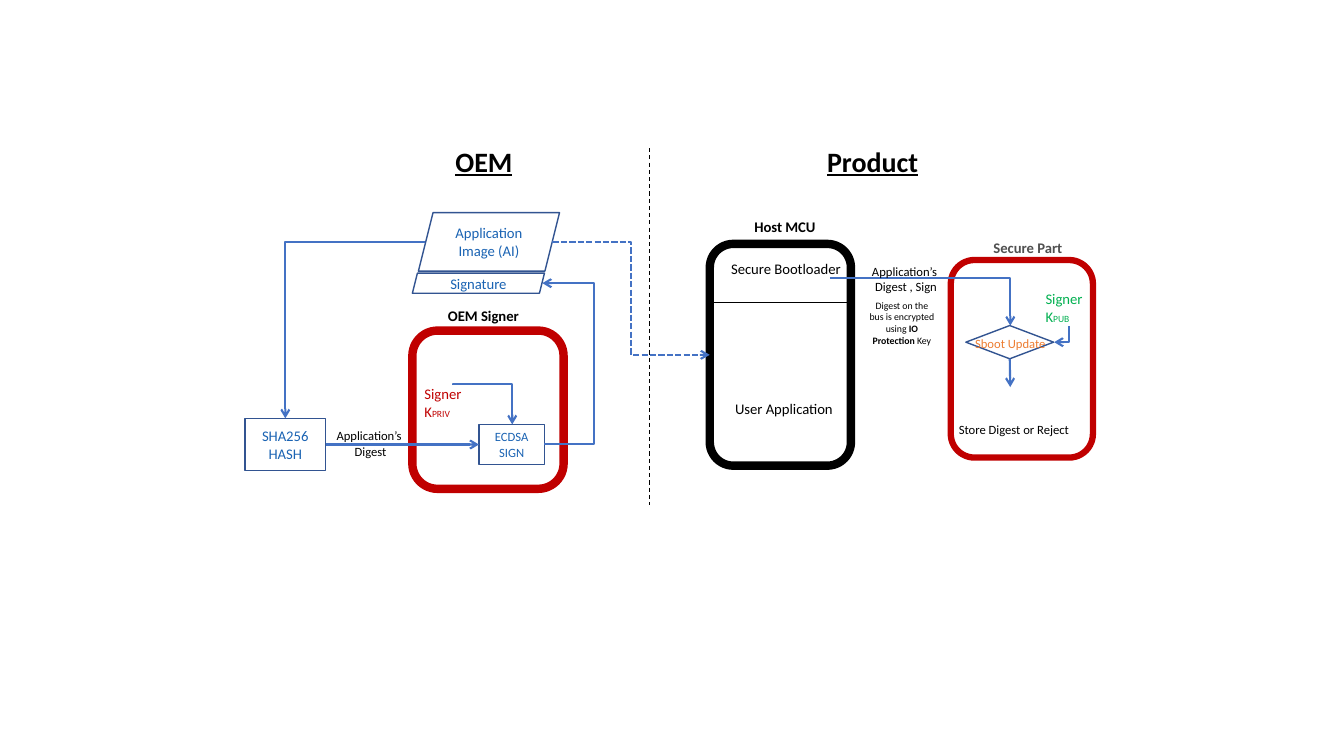
from dataclasses import dataclass

from lxml.etree import SubElement
from pptx import Presentation
from pptx.dml.color import RGBColor as RGB
from pptx.enum.dml import MSO_LINE as Dash
from pptx.enum.shapes import MSO_CONNECTOR as Conn, MSO_SHAPE as Kind
from pptx.enum.text import MSO_ANCHOR as Anchor, MSO_AUTO_SIZE as Auto, PP_ALIGN as Align
from pptx.oxml.ns import qn
from pptx.util import Inches, Pt


@dataclass(frozen=True)
class Theme:
    font: str = "Calibri"
    black: str = "000000"
    white: str = "FFFFFF"
    red: str = "C00000"
    green: str = "00B050"
    orange: str = "ED7D31"
    gray: str = "505050"
    ink: str = "1A63B3"
    edge: str = "325491"
    arrow: str = "4472C4"
    head: float = 20
    body: float = 10.5
    small: float = 9
    note: float = 7
    sub: float = 6.8


T = Theme()
CELL = 0.1  # side of one grid cell, in inches


def grid(*vals):
    return [Inches(v * CELL) for v in vals]


# Text: each paragraph is a string or a list of (text, run settings)
def write(frame, paras, size, color, align=Align.CENTER, bold=False, under=False):
    for i, runs in enumerate(paras):
        para = frame.paragraphs[0] if i == 0 else frame.add_paragraph()
        para.alignment = align
        font = para.font
        font.name, font.size = T.font, Pt(size)
        font.color.rgb = RGB.from_string(color)
        if bold:
            font.bold = True
        if under:
            font.underline = True
        for text, look in [(runs, {})] if isinstance(runs, str) else runs:
            run = para.add_run()
            run.text = text
            for key, val in look.items():
                setattr(run.font, key, val)


def bare(frame):
    frame.margin_left = frame.margin_right = 0
    frame.margin_top = frame.margin_bottom = 0


def label(slide, at, paras, size=T.body, color=T.black, wrap=True, flush=False, **look):
    frame = slide.shapes.add_textbox(*grid(*at)).text_frame
    frame.word_wrap = wrap
    frame.auto_size = Auto.SHAPE_TO_FIT_TEXT
    if flush:
        bare(frame)
    write(frame, paras, size, color, **look)


def signer(slide, at, key, color):
    label(slide, at, ["Signer", [("K", {}), (key, {"size": Pt(T.sub)})]],
          color=color, flush=True, align=Align.LEFT)


def box(slide, kind, at, edge=T.edge, width=1, fill=None, paras=(), size=T.body, flush=False):
    shape = slide.shapes.add_shape(kind, *grid(*at))
    shape.shadow.inherit = False
    if fill:
        shape.fill.solid()
        shape.fill.fore_color.rgb = RGB.from_string(fill)
    else:
        shape.fill.background()
    shape.line.color.rgb = RGB.from_string(edge)
    shape.line.width = Pt(width)
    frame = shape.text_frame
    frame.vertical_anchor = Anchor.MIDDLE
    if flush:
        bare(frame)
    write(frame, paras, size, T.ink)
    return shape


# Lines
def style(link, color, width, dash=None, tip=False):
    link.line.color.rgb = RGB.from_string(color)
    link.line.width = Pt(width)
    if dash:
        link.line.dash_style = dash
    props = link._element.spPr
    if tip:
        SubElement(props.find(qn("a:ln")), qn("a:tailEnd"), type="arrow")
    SubElement(props, qn("a:effectLst"))


def rule(slide, ends, width, dash=None):
    link = slide.shapes.add_connector(Conn.STRAIGHT, *grid(*ends))
    style(link, T.black, width, dash)


def arrow(slide, ends, start, stop=None):
    link = slide.shapes.add_connector(Conn.STRAIGHT, *grid(*ends))
    link.begin_connect(*start)
    if stop:
        link.end_connect(*stop)
    style(link, T.arrow, 1.5, tip=True)


def elbow(slide, at, bends=1, turn=0, flip="", bend=None, dash=None):
    x, y, w, h = at
    link = slide.shapes.add_connector(Conn.ELBOW, *grid(x, y, x + w, y + h))
    props = link._element.spPr
    frame, geom = props.find(qn("a:xfrm")), props.find(qn("a:prstGeom"))
    if turn:
        frame.set("rot", str(turn * 60000))
    for axis in flip:
        frame.set("flip" + axis, "1")
    geom.set("prst", f"bentConnector{bends + 1}")
    if bend is not None:
        guides = geom.find(qn("a:avLst"))
        SubElement(guides, qn("a:gd"), name="adj1", fmla=f"val {round(bend * 100000)}")
    style(link, T.arrow, 1.5, dash, tip=True)


def oem(slide):
    label(slide, (40, 13.8, 16, 4.4), ["OEM"], T.head, bold=True, under=True)
    # Signer and hash
    box(slide, Kind.ROUNDED_RECTANGLE, (40.9, 32.8, 15, 15.7), T.red, 6)
    label(slide, (41.5, 29.9, 12.9, 2.8), ["OEM Signer"], bold=True)
    signer(slide, (42.1, 38.2, 5.5, 3.5), "PRIV", T.red)
    sign = box(slide, Kind.RECTANGLE, (47.5, 42.1, 6.5, 4),
               paras=["ECDSA", "SIGN"], size=T.small, flush=True)
    sha = box(slide, Kind.RECTANGLE, (24.3, 41.5, 8, 5.2),
              paras=["SHA256", "HASH"], flush=True)
    # Signed image
    box(slide, Kind.PARALLELOGRAM, (41.5, 21.1, 14, 5.8), fill=T.white,
        paras=["Application Image (AI)"])
    box(slide, Kind.PARALLELOGRAM, (40.9, 27.1, 13.1, 2), fill=T.white,
        paras=["Signature"])
    # Flow
    label(slide, (32.3, 42, 8.9, 4), ["Application’s ", "Digest"], T.small, wrap=False)
    arrow(slide, (32.3, 44.1, 47.5, 44.1), (sha, 3), (sign, 1))
    elbow(slide, (45.9, 37.2, 3.9, 5.9), 2, 270, "H", -0.03)
    elbow(slide, (28.3, 24, 13.9, 17.5), 1, 180, "V")
    elbow(slide, (53.8, 28.1, 0.2, 16), 2, 0, "HV", -24.5)


def product(slide):
    label(slide, (76.6, 13.8, 19.9, 4.4), ["Product"], T.head, bold=True, under=True)
    # Host
    box(slide, Kind.ROUNDED_RECTANGLE, (70.4, 24.2, 14, 22), T.black, 6)
    label(slide, (71.4, 21.1, 12.9, 2.8), ["Host MCU"], bold=True)
    rule(slide, (70.8, 30, 84.5, 30), 1)
    label(slide, (71.5, 25.3, 12.9, 4.5), ["Secure Bootloader"])
    label(slide, (70.8, 39.2, 13.9, 2.8), ["User Application"])
    # Secure part
    box(slide, Kind.ROUNDED_RECTANGLE, (94.3, 25.8, 14.1, 19.6), T.red, 4.5)
    label(slide, (94.9, 23.2, 14.1, 2.8), ["Secure Part"], color=T.gray, bold=True)
    signer(slide, (103.7, 28.8, 4.6, 3.5), "PUB", T.green)
    check = box(slide, Kind.DIAMOND, (95.8, 32.3, 8.7, 3.3))
    label(slide, (95.4, 32.8, 9.6, 2.5), ["Sboot Update"], T.small, T.orange)
    label(slide, (94, 41.4, 13.1, 2.5), ["Store Digest or Reject"], T.small, wrap=False)
    # Flow
    elbow(slide, (82.3, 27.6, 17.9, 4.7))
    label(slide, (85.4, 25.7, 8.9, 4), ["Application’s ", "Digest , Sign"], T.small, wrap=False)
    label(slide, (85.2, 29.2, 8.5, 5),
          [[("Digest on the bus is encrypted using ", {}),
            ("IO Protection", {"bold": True}), (" Key", {})]], T.note)
    elbow(slide, (104.5, 32.4, 1.6, 1.5), turn=90)
    arrow(slide, (100.2, 35.6, 100.2, 38.4), (check, 2))


def main():
    deck = Presentation()
    deck.slide_width, deck.slide_height = Inches(13.33), Inches(7.5)
    slide = deck.slides.add_slide(deck.slide_layouts[6])
    oem(slide)
    product(slide)
    # Divide and delivery of the signed image
    rule(slide, (64.4, 14.7, 64.4, 50.1), 0.75, Dash.DASH)
    elbow(slide, (54.8, 24, 15.6, 11.2), 2, dash=Dash.SQUARE_DOT)
    deck.save("out.pptx")


if __name__ == "__main__":
    main()
